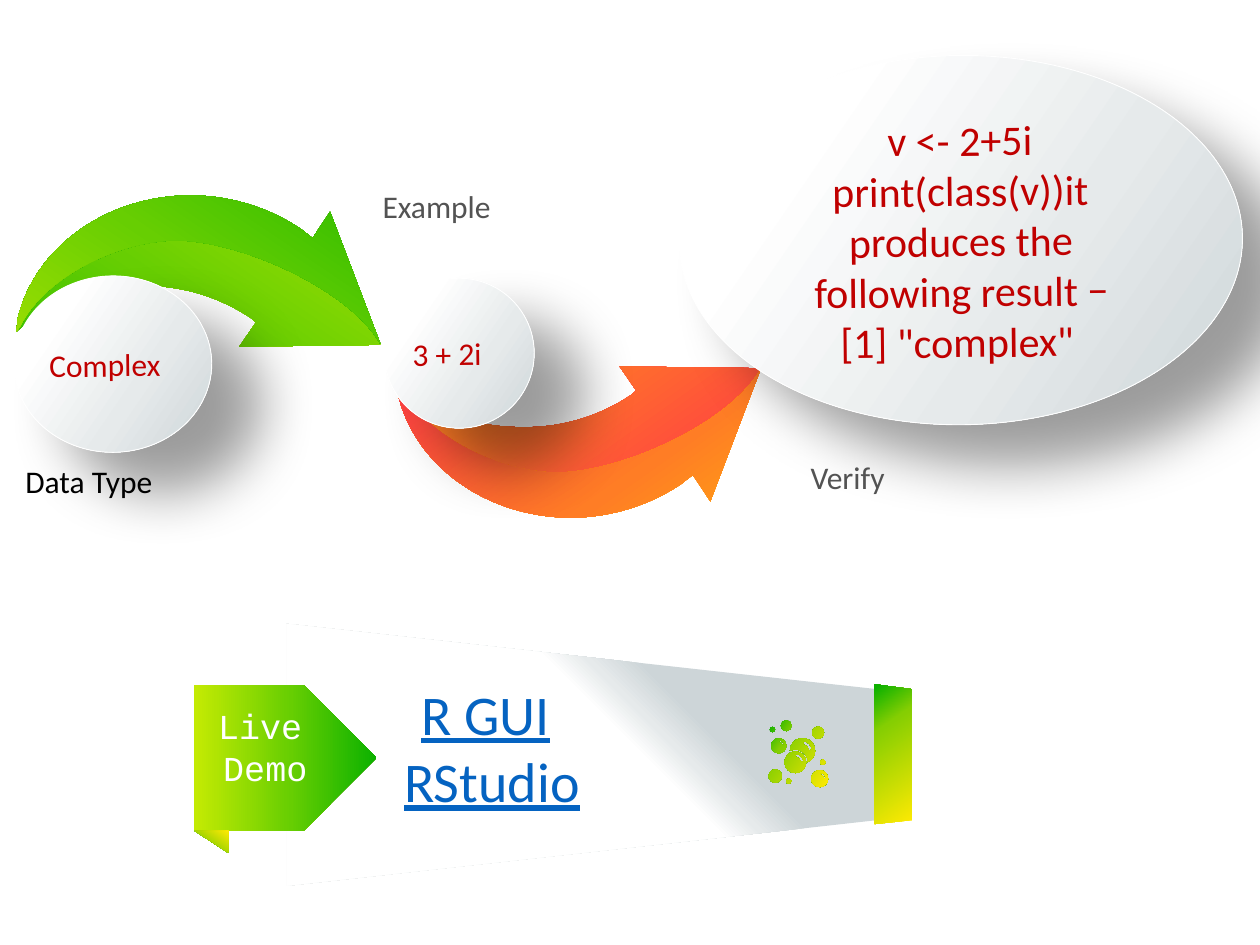
"""Build a slide on the complex data type with a live demo banner."""
from dataclasses import dataclass
from math import cos, radians, sin, tan

from lxml import etree
from pptx import Presentation
from pptx.dml.color import RGBColor
from pptx.enum.shapes import MSO_SHAPE
from pptx.enum.text import MSO_ANCHOR, PP_ALIGN
from pptx.oxml.ns import qn
from pptx.util import Pt

OVAL = MSO_SHAPE.OVAL
MIDDLE, TOP = MSO_ANCHOR.MIDDLE, MSO_ANCHOR.TOP
LEFT, CENTER = PP_ALIGN.LEFT, PP_ALIGN.CENTER


@dataclass(frozen=True)
class Theme:
    font: str = "Calibri"
    mono: str = "Courier New"
    red: str = "C00000"
    black: str = "000000"
    gray: str = "535353"
    blue: str = "0563C1"
    white: str = "FFFFFF"
    label: int = 18
    demo: int = 20
    code: int = 24
    link: int = 32
    inset: float = 3.6
    pearl: tuple = ((23, "FFFFFF"), (63, "E6EAEB"), (100, "CDD5D8"))
    lime: tuple = ((1, "C3EA03"), (53, "67CE02"), (100, "0CB100"))
    leaf: tuple = ((0, "0CB100"), (47, "67CE02"), (99, "C3EA03"))
    flame: tuple = ((23, "FF3847"), (63, "FF7D25"), (100, "FFC203"))
    amber: tuple = ((0, "FFC203"), (37, "FF7D25"), (77, "FF3847"))
    silver: tuple = ((32, "CDD5D8"), (38, "E6EAEB"), (43, "FFFFFF"))
    spring: tuple = ((2, "0CB100"), (29, "85CE02"), (100, "FFEA03"))
    lemon: tuple = ((0, "FFEA03"), (71, "85CE02"), (98, "0CB100"))


THEME = Theme()

CREST = [(108, 111.6), (131.8, 111.6, 154.1, 118.8, 172.1, 131),
         (178.6, 136.1), (188.6, 121), (217.4, 196.6)]
FOLD = [(198.7, 164.2, 133.9, 136.1, 97.9, 137.5),
        (64.8, 139, 25.2, 159.1, 11.5, 186.5), (9.4, 189.4)]
UNDER = [(208.8, 197.3), (136.8, 198), (146.2, 184.3), (144, 182.2),
         (126, 169.9, 103.7, 162.7, 79.9, 163.4),
         (51.8, 163.4, 27.4, 173.5, 9.4, 189.4)]
TAIL = [(10.1, 182.2), (19.4, 142.6, 59, 112.3, 108, 111.6)]

DOTS = [(449.3, 414.7, 3.1), (467.5, 418.7, 3.4), (441.4, 416.9, 1.5),
        (445, 426.2, 4.3), (454.5, 435.6, 6.2), (470.2, 435.6, 1.5),
        (443, 443.5, 3.8), (468.4, 445, 4.8), (450.7, 446.4, 1.5)]
SHINY = [(458.6, 429, 7.2), DOTS[3], DOTS[4], DOTS[7]]


def pairs(part):
    """Split a flat run of numbers into points."""
    return list(zip(part[::2], part[1::2]))


def arc(x, y, r, start, end, count=1):
    """Return a start point and curves along a circle."""
    sweep = radians(end - start) / count
    pull = 4 / 3 * tan(sweep / 4)
    parts = [(x + r * cos(radians(start)), y + r * sin(radians(start)))]
    for i in range(count):
        a = radians(start) + i * sweep
        b = a + sweep
        parts.append((x + r * (cos(a) - pull * sin(a)), y + r * (sin(a) + pull * cos(a)),
                      x + r * (cos(b) + pull * sin(b)), y + r * (sin(b) - pull * cos(b)),
                      x + r * cos(b), y + r * sin(b)))
    return parts


def shine(x, y, r):
    """Return the thin highlight in the upper right of a dot."""
    return arc(x, y, r * 0.75, -85, -5) + arc(x, y, r * 0.5, -5, -85)


def spin(part, angle):
    """Rotate a path part clockwise about the slide corner."""
    c, s = cos(radians(angle)), sin(radians(angle))
    return tuple(v for x, y in pairs(part) for v in (x * c - y * s, x * s + y * c))


def write(frame, text, *, size, color, font=THEME.font, align=(LEFT,),
          anchor=TOP, under=None):
    """Fill a text frame, with one alignment for each line or one for all."""
    frame.word_wrap = True
    frame.vertical_anchor = anchor
    frame.margin_left = frame.margin_right = Pt(THEME.inset)
    frame.margin_top = frame.margin_bottom = Pt(THEME.inset)
    for i, line in enumerate(text.split("\n")):
        para = frame.add_paragraph() if i else frame.paragraphs[0]
        para.alignment = align[min(i, len(align) - 1)]
        words = line.rstrip()
        for piece in filter(None, (words, line[len(words):])):
            run = para.add_run()
            run.text = piece
            run.font.name = font
            run.font.size = Pt(size)
            run.font.underline = under if piece == words else None
            run.font.color.rgb = RGBColor.from_string(color)


class Deck:
    """Hold the theme and the current slide."""

    def __init__(self, theme):
        self.theme = theme
        self.file = Presentation()
        self.file.slide_width, self.file.slide_height = Pt(720), Pt(540)
        self.slide = self.file.slides.add_slide(self.file.slide_layouts[6])

    def shade(self, shape, stops, angle):
        """Give a shape a linear gradient and no shadow."""
        shape.shadow.inherit = False
        shape.fill.gradient()
        shape.fill.gradient_angle = -angle % 360
        holder = shape._element.spPr.find(".//" + qn("a:gsLst"))
        for old in list(holder):
            holder.remove(old)
        for place, color in stops:
            stop = etree.SubElement(holder, qn("a:gs"), pos=str(place * 1000))
            etree.SubElement(stop, qn("a:srgbClr"), val=color)

    def label(self, box, text, **style):
        """Add a text box."""
        shape = self.slide.shapes.add_textbox(*map(Pt, box))
        write(shape.text_frame, text, **style)

    def pearl(self, box, text, **style):
        """Add a tilted oval with a soft shadow and text."""
        shape = self.slide.shapes.add_shape(OVAL, *map(Pt, box))
        shape.rotation = 359.4
        self.shade(shape, self.theme.pearl, 35)
        shape.line.color.rgb = RGBColor.from_string(self.theme.white)
        shape.line.width = Pt(0.5)
        glow = etree.SubElement(
            shape._element.spPr.find(qn("a:effectLst")), qn("a:outerShdw"),
            blurRad=str(Pt(33)), dist=str(Pt(36.7)), dir=str(39 * 60000),
            algn="ctr", rotWithShape="0")
        tone = etree.SubElement(glow, qn("a:srgbClr"), val=self.theme.black)
        etree.SubElement(tone, qn("a:alpha"), val="38000")
        write(shape.text_frame, text, color=self.theme.red, anchor=MIDDLE, **style)

    def form(self, paths, stops, angle, turn=0):
        """Add an outline given as seen, stored in a frame rotated by turn."""
        flat = [[spin(part, -turn) for part in path] for path in paths]
        ends = [part[-2:] for path in flat for part in path]
        mid = tuple((min(v) + max(v)) / 2 for v in zip(*ends))
        dx, dy = (h - m for h, m in zip(spin(mid, turn), mid))
        flat = [[[(Pt(x + dx), Pt(y + dy)) for x, y in pairs(part)]
                 for part in path] for path in flat]
        pen = self.slide.shapes.build_freeform(*flat[0][0][0], scale=1.0)
        for i, path in enumerate(flat):
            if i:
                pen.move_to(*path[0][0])
            pen.add_line_segments([part[-1] for part in path[1:]], close=True)
        shape = pen.convert_to_shape()
        self.bend(shape, sum(flat, []))
        shape.rotation = turn
        self.shade(shape, stops, angle)
        shape.line.fill.background()

    def bend(self, shape, parts):
        """Turn the straight steps that have handles into curves."""
        route = shape._element.spPr.find(".//" + qn("a:path"))
        steps = [step for step in route if step.tag != qn("a:close")]
        for step, part in zip(steps, parts):
            if len(part) == 3:
                curve = etree.Element(qn("a:cubicBezTo"))
                for x, y in part:
                    etree.SubElement(curve, qn("a:pt"), x=str(x - shape.left),
                                     y=str(y - shape.top))
                route.replace(step, curve)


def main():
    """Build and save the slide."""
    t = THEME
    deck = Deck(t)
    back, front = CREST + UNDER + TAIL, CREST + FOLD + TAIL
    deck.form([back], t.lime, 0, 124)
    deck.form([front], t.leaf, 0, 124)
    deck.pearl((8, 157.7, 113, 100.8), "Complex", size=t.label)
    for path, stops in ((back, t.flame), (front, t.amber)):
        lower = [tuple(v for x, y in pairs(part) for v in (x + 217.3, 407.5 - y))
                 for part in path]
        deck.form([lower], stops, 180, 54.7)
    deck.pearl((219.6, 159, 85.7, 85.7), "3 + 2i", size=t.label)
    deck.pearl((388.2, 31.7, 321.8, 211),
               "v <- 2+5i print(class(v))it produces the following result −\n"
               '[1] "complex" ', size=t.code, align=(CENTER,))

    for left, top, text, color, align in (
            (3.6, 260.6, "Data Type", t.black, CENTER),
            (215, 103.3, "Example", t.gray, LEFT),
            (437.2, 258.2, "Verify", t.gray, CENTER)):
        deck.label((left, top, 94.3, 28.8), text, size=t.label, color=color,
                   align=(align,))

    deck.form([[(163.6, 506.2), (501, 468.7), (501, 393.8), (163.6, 356.4)]],
              t.silver, 45, 90)
    deck.form([[(110.9, 474.7), (173.5, 474.7), (215, 433), (173.5, 391.3),
                (110.9, 391.3)]], t.lime, 180, 180)
    deck.form([[(130.5, 487.4), (110.9, 474.6), (130.5, 474.6)]], t.spring, 35, 270)
    deck.form([[(499.7, 391), (499.7, 470.9), (521, 468.7), (521, 393.8)]],
              t.lemon, 145, 90)
    deck.label((194.4, 384.5, 173.5, 85), "R GUI \nRStudio", size=t.link,
               color=t.blue, align=(CENTER,), under=True)
    moon = arc(458.6, 429, 7.2, 180, 425, 3) + arc(454.5, 435.6, 7.2, 0, -114, 2)
    deck.form([arc(*dot, 0, 360, 4) for dot in DOTS] + [moon]
              + [shine(*dot) for dot in SHINY], t.spring, 35)
    deck.label((121, 398.9, 61.2, 55.4), "Live\nDemo", size=t.demo, color=t.white,
               font=t.mono, align=(LEFT, CENTER))
    deck.file.save("out.pptx")


if __name__ == "__main__":
    main()
